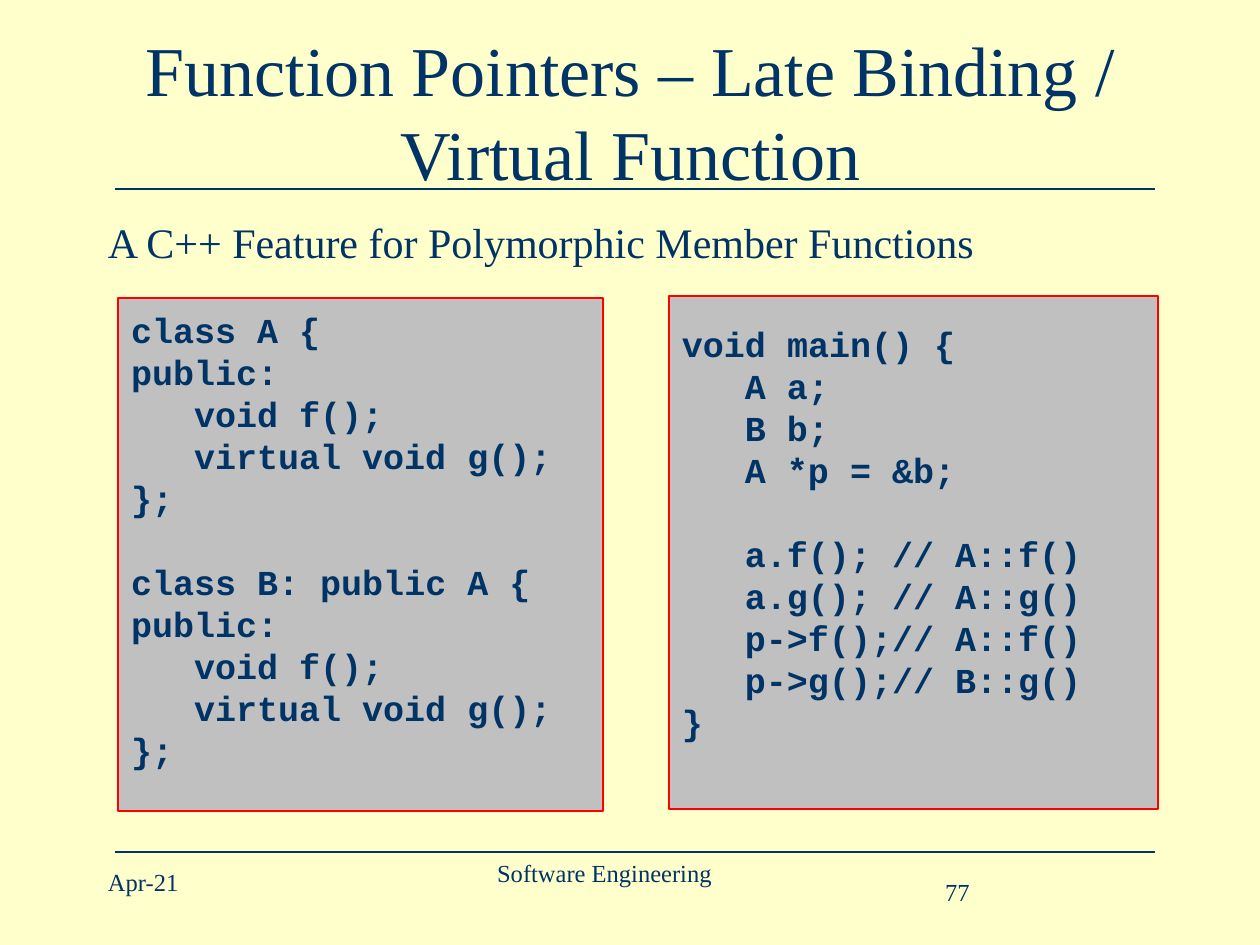
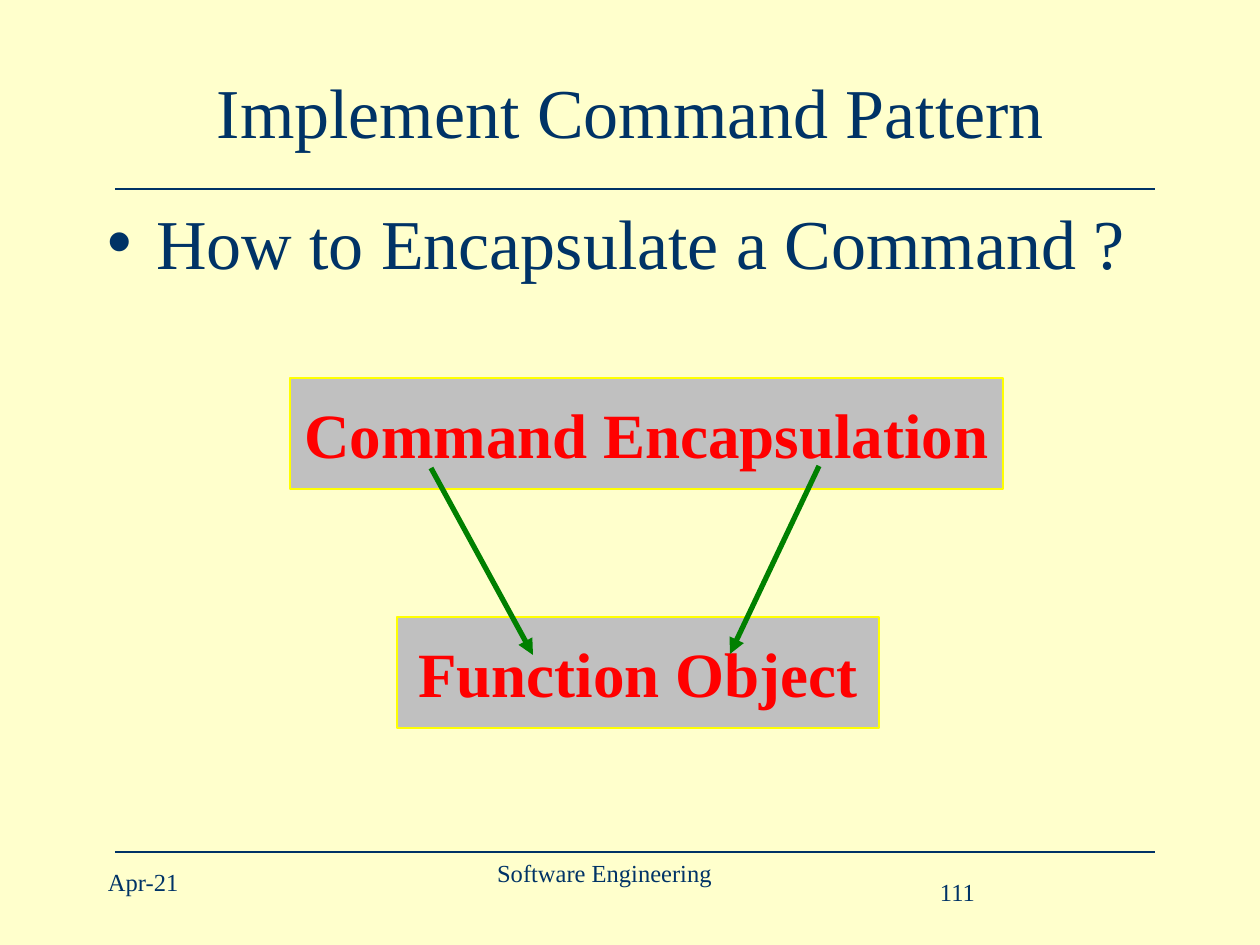
"""Two lecture slides: late binding in C++ and the command pattern."""
from lxml import etree
from pptx import Presentation
from pptx import util as u
from pptx.dml.color import RGBColor
from pptx.enum import shapes, text
from pptx.oxml import ns

NAVY = RGBColor(0x00, 0x33, 0x66)
CREAM = RGBColor(0xFF, 0xFF, 0xCC)
GREY = RGBColor(0xC0, 0xC0, 0xC0)
RED = RGBColor(0xFF, 0x00, 0x00)
YELLOW = RGBColor(0xFF, 0xFF, 0x00)
GREEN = RGBColor(0x00, 0x80, 0x00)
SERIF, MONO = "Times New Roman", "Courier New"
CENTER = text.PP_ALIGN.CENTER
TOP, MIDDLE = text.MSO_ANCHOR.TOP, text.MSO_ANCHOR.MIDDLE

PX_PER_INCH = 126
WIDTH, HEIGHT = 1260, 945
RULE_LEFT, RULE_RIGHT = 115, 1155
RULE_YS = (189, 852)
TITLE_BOX = (95, 32, 1071, 158)
BODY_BOX = (95, 210, 1071, 630)
DATE_BOX = (95, 861, 163, 63)
COURSE_BOX = (294, 852, 621, 93)
NUMBER_BOX = (916, 871, 83, 42)
HANG = 48
CODE_INDENT = 63
LINE_HEIGHT = 1.2

CLASS_CODE = [
    ["class A {", "public:", "\tvoid f();", "\tvirtual void g();", "};"],
    ["class B: public A {", "public:", "\tvoid f();", "\tvirtual void g();", "};"],
]
MAIN_CODE = [
    ["void main() {", "\tA a;", "\tB b;", "\tA *p = &b;"],
    ["\ta.f(); // A::f()", "\ta.g(); // A::g()", "\tp->f();// A::f()",
     "\tp->g();// B::g()", "}"],
]


def px(n):
    """Turn pixels into EMU."""
    return u.Emu(round(n * 914400 / PX_PER_INCH))


def place(sp, box):
    """Move a shape to a box given in pixels."""
    sp.left, sp.top, sp.width, sp.height = map(px, box)


def frame(sp, anchor=TOP, top=6):
    """Prepare the text frame of a shape and return it."""
    tf = sp.text_frame
    tf.word_wrap = True
    tf.auto_size = text.MSO_AUTO_SIZE.NONE
    tf.vertical_anchor = anchor
    tf.margin_left = tf.margin_right = px(13)
    tf.margin_top, tf.margin_bottom = px(top), px(6)
    return tf


def write(p, words, size=14, font=SERIF, color=NAVY, bold=False,
          align=text.PP_ALIGN.LEFT, spacing=1, before=0):
    """Write formatted text into a paragraph."""
    p.alignment = align
    p.line_spacing = u.Pt(size * LINE_HEIGHT * spacing)
    p.space_before = u.Pt(before)
    r = p.add_run()
    r.text = words
    r.font.size, r.font.name, r.font.bold = u.Pt(size), font, bold
    r.font.color.rgb = color


def indent(p, left, first=0):
    """Set the left margin and first-line indent of a paragraph."""
    pPr = p._p.get_or_add_pPr()
    pPr.set("marL", str(px(left)))
    pPr.set("indent", str(px(first)))
    return pPr


def line(s, start, end, color, width, arrow=False):
    """Draw a straight line, with an arrowhead at its end if asked."""
    cn = s.shapes.add_connector(shapes.MSO_CONNECTOR.STRAIGHT,
                                *map(px, start + end))
    cn.line.color.rgb = color
    cn.line.width = u.Pt(width)
    if arrow:
        etree.SubElement(cn.line._get_or_add_ln(), ns.qn("a:tailEnd"), type="triangle")
    etree.SubElement(cn._element.spPr, ns.qn("a:effectLst"))


def panel(s, box, border, width):
    """Add a grey rectangle with a coloured border."""
    sp = s.shapes.add_shape(shapes.MSO_SHAPE.RECTANGLE, *map(px, box))
    sp.shadow.inherit = False
    sp.fill.solid()
    sp.fill.fore_color.rgb = GREY
    sp.line.color.rgb = border
    sp.line.width = u.Pt(width)
    return sp


def label(s, box, words, **fmt):
    """Add a one-line text box."""
    tf = frame(s.shapes.add_textbox(*map(px, box)))
    write(tf.paragraphs[0], words, **fmt)


def base_slide(prs, title, number):
    """Add a slide with its title, two rules and footer."""
    s = prs.slides.add_slide(prs.slide_layouts[1])
    place(s.shapes.title, TITLE_BOX)
    tf = frame(s.shapes.title, MIDDLE)
    write(tf.paragraphs[0], title, size=40, align=CENTER)
    for y in RULE_YS:
        line(s, (RULE_LEFT, y), (RULE_RIGHT, y), NAVY, 1.25)
    label(s, DATE_BOX, "Apr-21")
    label(s, COURSE_BOX, "Software Engineering", align=CENTER)
    label(s, NUMBER_BOX, number, align=CENTER)
    return s


def body(s, words, bullet=None, **fmt):
    """Fill the body placeholder with one hanging paragraph."""
    sp = s.placeholders[1]
    place(sp, BODY_BOX)
    p = frame(sp).paragraphs[0]
    write(p, words, **fmt)
    pPr = indent(p, HANG, -HANG)
    if bullet:
        etree.SubElement(pPr, ns.qn("a:buChar"), char=bullet)
    else:
        etree.SubElement(pPr, ns.qn("a:buNone"))


def code_box(s, box, blocks, top):
    """Add a code panel with a one-line gap between blocks."""
    tf = frame(panel(s, box, RED, 1.25), top=top)
    p = None
    for b, block in enumerate(blocks):
        for i, words in enumerate(block):
            p = tf.add_paragraph() if p else tf.paragraphs[0]
            gap = 20 * LINE_HEIGHT if b and not i else 0
            write(p, words.lstrip("\t"), size=20, font=MONO, bold=True, before=gap)
            indent(p, CODE_INDENT * words.count("\t"))


def concept_box(s, box, words):
    """Add a panel holding one large red term."""
    tf = frame(panel(s, box, YELLOW, 0.75), MIDDLE)
    write(tf.paragraphs[0], words, size=36, color=RED, bold=True, align=CENTER)


def late_binding_slide(prs):
    """Build the slide that shows virtual functions in code."""
    s = base_slide(prs, "Function Pointers – Late Binding / Virtual Function", "77")
    body(s, "A C++ Feature for Polymorphic Member Functions", size=24)
    code_box(s, (118, 298, 485, 513), CLASS_CODE, top=10)
    code_box(s, (669, 296, 489, 513), MAIN_CODE, top=26)


def command_slide(prs):
    """Build the slide that maps a command to a function object."""
    s = base_slide(prs, "Implement Command Pattern", "111")
    body(s, "How to Encapsulate a Command ?", bullet="•", size=40, spacing=0.8)
    concept_box(s, (290, 378, 713, 111), "Command Encapsulation")
    concept_box(s, (397, 617, 482, 111), "Function Object")
    for start, end in (((431, 468), (533, 655)), ((819, 466), (730, 654))):
        line(s, start, end, GREEN, 3, arrow=True)


def main():
    """Build and save the presentation."""
    prs = Presentation()
    prs.slide_width, prs.slide_height = px(WIDTH), px(HEIGHT)
    fill = prs.slide_master.background.fill
    fill.solid()
    fill.fore_color.rgb = CREAM
    late_binding_slide(prs)
    command_slide(prs)
    prs.save("out.pptx")


if __name__ == "__main__":
    main()
